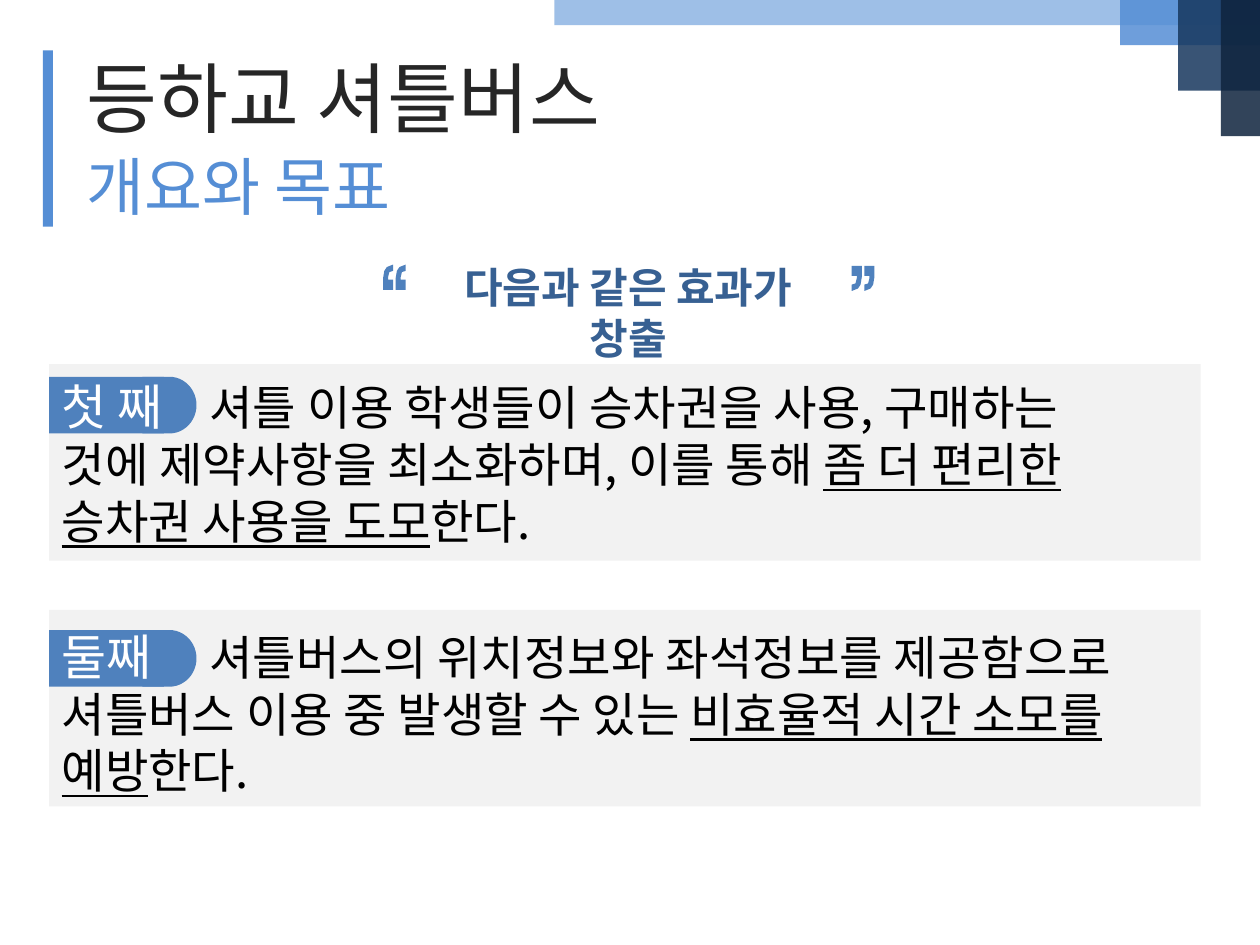
"""Build the shuttle bus overview and goals slide."""
from lxml import etree
from pptx import Presentation
from pptx.dml.color import RGBColor
from pptx.enum.shapes import MSO_SHAPE
from pptx.enum.text import MSO_ANCHOR, MSO_AUTO_SIZE, PP_ALIGN
from pptx.oxml.ns import qn
from pptx.util import Inches, Pt

RECT, TAB_END = MSO_SHAPE.RECTANGLE, MSO_SHAPE.FLOWCHART_DELAY
LEFT, CENTER = PP_ALIGN.LEFT, PP_ALIGN.CENTER
TOP, FIT_SHAPE = MSO_ANCHOR.TOP, MSO_AUTO_SIZE.SHAPE_TO_FIT_TEXT
FONT = "Noto Sans CJK KR"
COLORS = {
    "card": "F2F2F2", "label": "4F81BD", "accent": "558ED5", "sky": "8EB4E3",
    "navy": "17375E", "midnight": "0F243E", "heading": "262626",
    "lead": "376092", "body": "000000", "white": "FFFFFF",
}

prs = Presentation()
prs.slide_width, prs.slide_height = Inches(10), Inches(7.5)
slide = prs.slides.add_slide(prs.slide_layouts[5])
shapes = slide.shapes


def add_block(kind, left, top, width, height, color, alpha=100):
    block = shapes.add_shape(kind, Inches(left), Inches(top), Inches(width), Inches(height))
    block.shadow.inherit = False
    block.fill.solid()
    block.fill.fore_color.rgb = RGBColor.from_string(COLORS[color])
    block.line.fill.background()
    if alpha < 100:
        tint = block.fill._xPr.find(".//" + qn("a:srgbClr"))
        etree.SubElement(tint, qn("a:alpha")).set("val", str(alpha * 1000))


def write(holder, left, top, width, height, runs, align=LEFT):
    holder.left, holder.top = Inches(left), Inches(top)
    holder.width, holder.height = Inches(width), Inches(height)
    frame = holder.text_frame
    frame.word_wrap, frame.auto_size = True, FIT_SHAPE
    frame.vertical_anchor = TOP
    paragraph = frame.paragraphs[0]
    paragraph.alignment = align
    for text, size, color, bold, underline in runs:
        run = paragraph.add_run()
        run.text = text
        font = run.font
        font.size, font.bold, font.underline = Pt(size), bold, underline
        font.color.rgb = RGBColor.from_string(COLORS[color])
        font.name = FONT
        etree.SubElement(run._r.get_or_add_rPr(), qn("a:ea")).set("typeface", FONT)


CARD_LEFT, CARD_WIDTH, CARD_HEIGHT = 0.39, 9.14, 1.56
LABEL_HEIGHT = 0.45
goals = [
    (2.89, 2.99, 2.94, 8.75, "첫 째",
     "셔틀 이용 학생들이 승차권을 사용, 구매하는 것에 제약사항을 최소화하며, 이를 통해 ",
     "좀 더 편리한 승차권 사용을 도모"),
    (4.84, 5.0, 4.92, 8.83, "둘째",
     "셔틀버스의 위치정보와 좌석정보를 제공함으로 셔틀버스 이용 중 발생할 수 있는 ",
     "비효율적 시간 소모를 예방"),
]
for card_top, label_top, text_top, text_width, label, detail, emphasis in goals:
    add_block(RECT, CARD_LEFT, card_top, CARD_WIDTH, CARD_HEIGHT, "card")
    add_block(RECT, CARD_LEFT, label_top, 0.91, LABEL_HEIGHT, "label")
    add_block(TAB_END, 1.13, label_top, 0.43, LABEL_HEIGHT, "label")
    write(shapes.add_textbox(0, 0, 0, 0), CARD_LEFT, text_top, text_width, 1.51, [
        (label + "\t  ", 28, "white", False, False),
        (detail, 27, "body", False, False),
        (emphasis, 27, "body", False, True),
        ("한다.", 27, "body", False, False),
    ])

CORNER_RIGHT = 10.02
for width, height, color in [(5.62, 0.2, "sky"), (1.13, 0.36, "accent"),
                             (0.67, 0.72, "navy"), (0.33, 1.08, "midnight")]:
    add_block(RECT, CORNER_RIGHT - width, 0, width, height, color, 85)

write(shapes.add_textbox(0, 0, 0, 0), 3.25, 2.03, 3.47, 0.5,
      [("다음과 같은 효과가 창출", 24, "lead", True, False)], CENTER)

COMMA = [(0, 0), (0.08, 0), (0.08, 0.09), (0.07, 0.15), (0.05, 0.18), (0, 0.2),
         (0, 0.15), (0.03, 0.14), (0.04, 0.1), (0.04, 0.08), (0, 0.08)]
for start_x, start_y, direction in [(6.76, 2.11, 1), (3.22, 2.3, -1)]:
    marks = [[(Inches(start_x + direction * (x + shift)), Inches(start_y + direction * y))
              for x, y in COMMA] for shift in (0, 0.1)]
    outline = shapes.build_freeform(*marks[0][0])
    outline.add_line_segments(marks[0][1:], close=True)
    outline.move_to(*marks[1][0])
    outline.add_line_segments(marks[1][1:], close=True)
    quote = outline.convert_to_shape()
    quote.shadow.inherit = False
    quote.fill.solid()
    quote.fill.fore_color.rgb = RGBColor.from_string(COLORS["label"])
    quote.line.fill.background()

add_block(RECT, 0.34, 0.4, 0.08, 1.4, "accent")
write(shapes.title, 0.59, 0.35, 4.88, 0.84,
      [("등하교 셔틀버스", 44, "heading", False, False)])
write(shapes.add_textbox(0, 0, 0, 0), 0.59, 1.12, 4.41, 0.71,
      [("개요와 목표", 36, "accent", False, False)])

prs.save("out.pptx")
